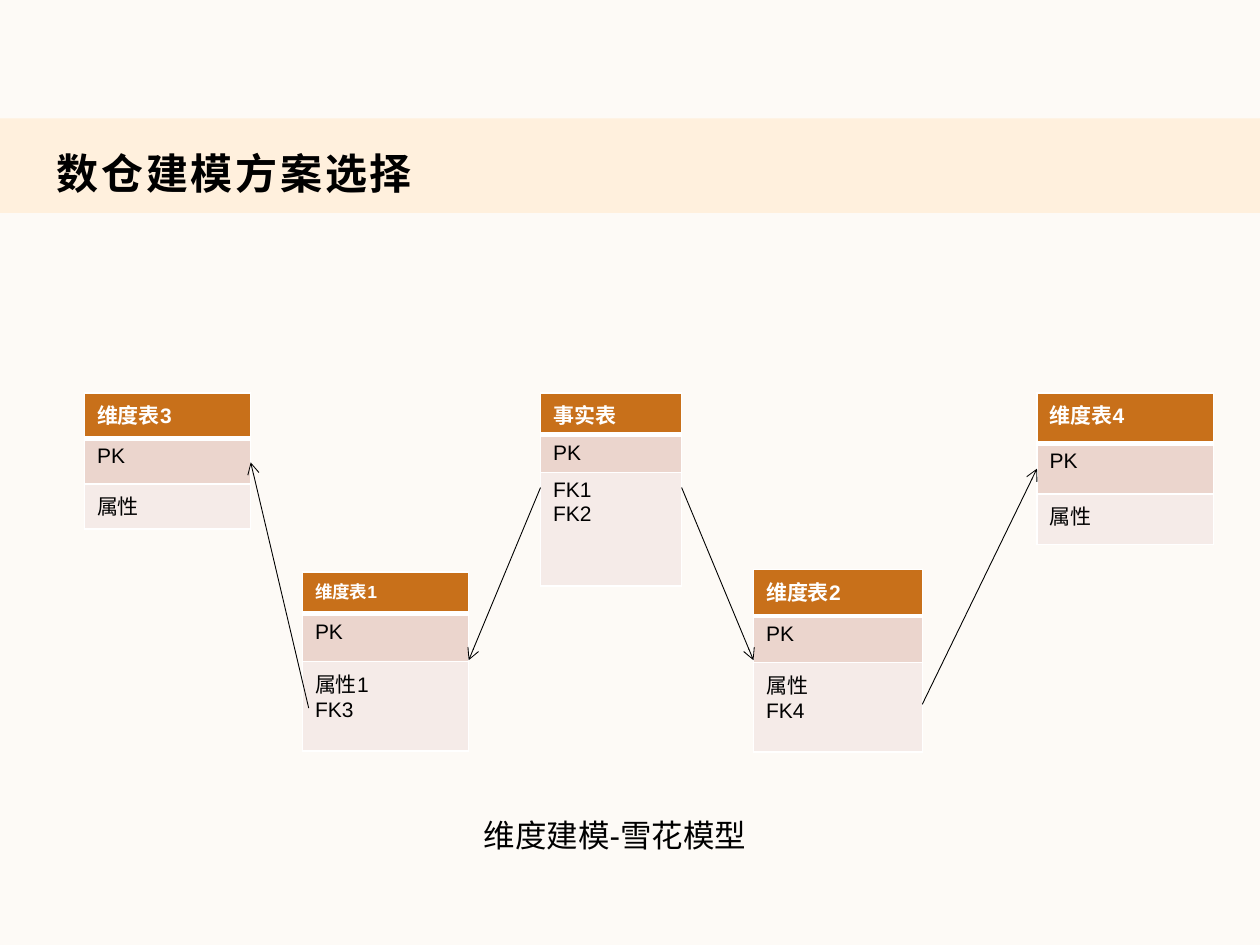
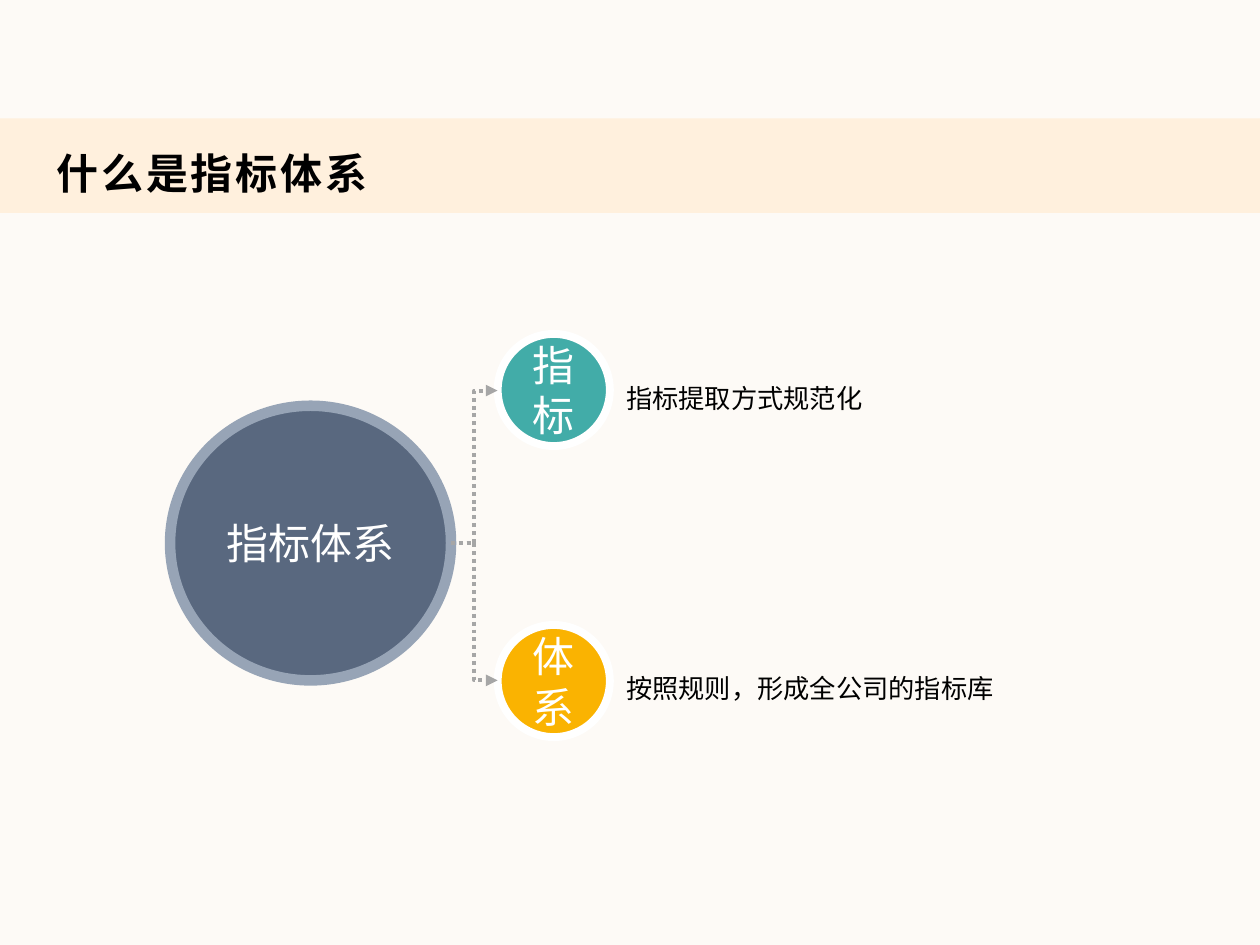
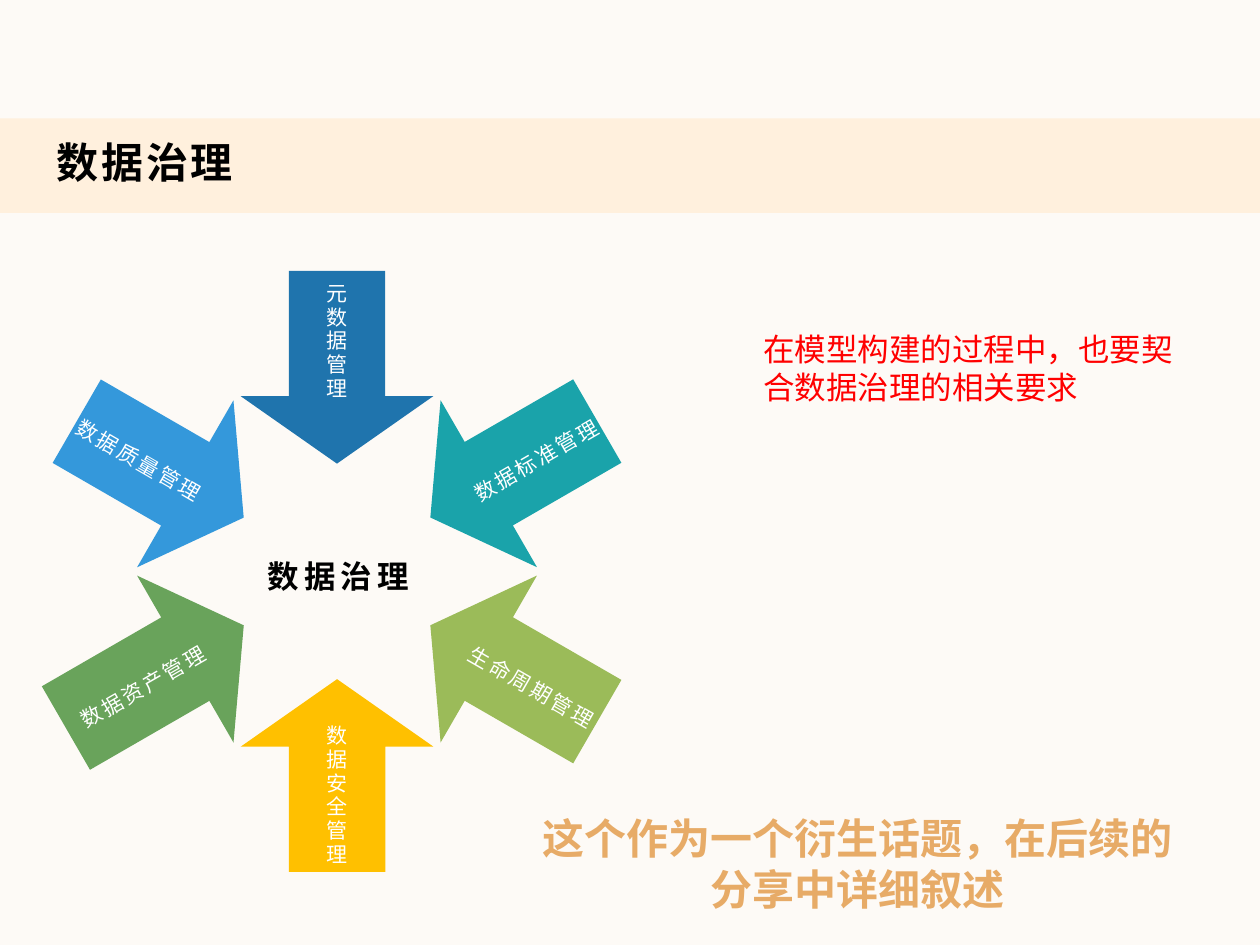
"""Build three slides on warehouse modelling, indicator systems and data governance."""
from dataclasses import dataclass
from math import cos, radians, sin

from lxml import etree
from pptx import Presentation
from pptx.dml.color import RGBColor
from pptx.enum.dml import MSO_LINE
from pptx.enum.shapes import MSO_CONNECTOR, MSO_SHAPE
from pptx.enum.text import MSO_ANCHOR, PP_ALIGN
from pptx.oxml.ns import qn
from pptx.util import Inches, Pt

RECTANGLE, OVAL, DOWN_ARROW = MSO_SHAPE.RECTANGLE, MSO_SHAPE.OVAL, MSO_SHAPE.DOWN_ARROW
STRAIGHT, ELBOW = MSO_CONNECTOR.STRAIGHT, MSO_CONNECTOR.ELBOW
DOTTED = MSO_LINE.ROUND_DOT
TOP, MIDDLE = MSO_ANCHOR.TOP, MSO_ANCHOR.MIDDLE
LEFT, CENTER = PP_ALIGN.LEFT, PP_ALIGN.CENTER


@dataclass(frozen=True)
class Theme:
    font: str = "Arial"
    page: str = "FDFAF6"
    band: str = "FFF0DD"
    ink: str = "000000"
    white: str = "FFFFFF"
    header: str = "C8701A"
    key_row: str = "EBD5CD"
    field_row: str = "F5EBE8"
    hub: str = "59687F"
    hub_rim: str = "97A4B6"
    teal: str = "42ACA8"
    amber: str = "FAB301"
    dots: str = "A6A6A6"
    alert: str = "FF0000"
    closing: str = "E7AB67"
    title: float = 24
    heading: float = 18
    detail: float = 15
    body: float = 12
    small: float = 10


theme = Theme()
deck = Presentation()
deck.slide_width, deck.slide_height = Inches(10), Inches(7.5)
CELL = deck.slide_width / 100


def draw(slide, box, kind=None, fill=None, rotation=0):
    """Add a filled shape, or a text box without a kind, at a box in grid cells."""
    place = [round(length * CELL) for length in box]
    if kind is None:
        item = slide.shapes.add_textbox(*place)
    else:
        item = slide.shapes.add_shape(kind, *place)
        item.shadow.inherit = False
        item.fill.solid()
        item.fill.fore_color.rgb = RGBColor.from_string(fill)
        item.line.fill.background()
    item.rotation = rotation
    return item


def write(frame, lines, size, color=theme.ink, bold=False, align=LEFT,
          anchor=MIDDLE, tracking=0, leading=None):
    """Write each line as one paragraph with one run."""
    frame.word_wrap = True
    frame.vertical_anchor = anchor
    for number, line in enumerate(lines):
        paragraph = frame.add_paragraph() if number else frame.paragraphs[0]
        paragraph.alignment = align
        paragraph.line_spacing = leading
        run = paragraph.add_run()
        run.text = line
        run.font.name, run.font.size, run.font.bold = theme.font, Pt(size), bold
        run.font.color.rgb = RGBColor.from_string(color)
        if tracking:
            run.font._element.set("spc", str(round(tracking * 100)))


background = deck.slide_master.background.fill
background.solid()
background.fore_color.rgb = RGBColor.from_string(theme.page)

pages = []
for heading, heading_top in [("数仓建模方案选择", 11.5), ("什么是指标体系", 11.5),
                             ("数据治理", 10.6)]:
    page = deck.slides.add_slide(deck.slide_layouts[6])
    draw(page, (0, 9.4, 100, 7.5), RECTANGLE, theme.band)
    frame = draw(page, (3.8, heading_top, 92.5, 5)).text_frame
    frame.margin_left = frame.margin_right = Inches(0.07)
    frame.margin_top = frame.margin_bottom = Inches(0.04)
    write(frame, [heading], theme.title, bold=True, tracking=1.6, leading=0.9)
    pages.append(page)
modelling, indicators, governance = pages

entities = [
    ("事实表", ["FK1", "FK2"], 42.9, 31.2, 11.2, (3.3, 3, 9), theme.body),
    ("维度表1", ["属性1", "FK3"], 24, 45.4, 13.2, (3.3, 3.8, 7.1), theme.small),
    ("维度表2", ["属性", "FK4"], 59.8, 45.2, 13.4, (3.7, 3.7, 7.1), theme.body),
    ("维度表3", ["属性"], 6.7, 31.2, 13.2, (3.6, 3.6, 3.6), theme.body),
    ("维度表4", ["属性"], 82.3, 31.2, 14, (4, 4, 4), theme.body),
]
row_fills = [theme.header, theme.key_row, theme.field_row]
for name, fields, left, top, width, heights, name_size in entities:
    place = [round(length * CELL) for length in (left, top, width, sum(heights))]
    entity = modelling.shapes.add_table(3, 1, *place).table
    entity.horz_banding = False
    for number, lines in enumerate([[name], ["PK"], fields]):
        entity.rows[number].height = round(heights[number] * CELL)
        cell = entity.cell(number, 0)
        is_header = number == 0
        properties = cell._tc.get_or_add_tcPr()
        for side in ("lnL", "lnR", "lnT", "lnB"):
            thick = (number, side) in [(0, "lnB"), (1, "lnT")]
            border = etree.SubElement(properties, qn(f"a:{side}"), w=str(Pt(3 if thick else 1)))
            paint = etree.SubElement(border, qn("a:solidFill"))
            etree.SubElement(paint, qn("a:srgbClr"), val=theme.white)
        cell.fill.solid()
        cell.fill.fore_color.rgb = RGBColor.from_string(row_fills[number])
        write(cell.text_frame, lines, name_size if is_header else theme.body,
              theme.white if is_header else theme.ink, bold=is_header, anchor=TOP)
write(draw(modelling, (37.4, 64.3, 38.5, 4)).text_frame, ["维度建模-雪花模型"],
      theme.heading, anchor=TOP)

circles = [
    ("指标", (39.5, 26.5, 8.9, 8.9), theme.teal, theme.white, 4.5),
    ("指标体系", (13.5, 32.2, 22.3, 21.8), theme.hub, theme.hub_rim, 6),
    ("体系", (39.5, 49.6, 8.9, 8.9), theme.amber, theme.white, 4.5),
]
for term, box, fill, rim, rim_width in circles:
    circle = draw(indicators, box, OVAL, fill)
    circle.line.color.rgb = RGBColor.from_string(rim)
    circle.line.width = Pt(rim_width)
    write(circle.text_frame, [term], theme.title, theme.white, align=CENTER)
for meaning, top in [("指标提取方式规范化", 27.2), ("按照规则，形成全公司的指标库", 50.2)]:
    frame = draw(indicators, (49.7, top, 38.7, 7.6)).text_frame
    frame.margin_left = frame.margin_right = 0
    write(frame, [meaning], theme.detail, leading=1.5)

links = [
    (modelling, (42.9, 38.7, 37.2, 52.4)),
    (modelling, (54.1, 38.7, 59.8, 52.4)),
    (modelling, (24.5, 56.2, 19.9, 36.7)),
    (modelling, (73.2, 55.9, 82.3, 37.2)),
    (indicators, (35.8, 43.1, 39.5, 31)),
    (indicators, (35.8, 43.1, 39.5, 54)),
]
for page, ends in links:
    kind, color, weight, dash, head = (
        (STRAIGHT, theme.ink, 0.5, None, "arrow") if page is modelling
        else (ELBOW, theme.dots, 2.25, DOTTED, "triangle"))
    link = page.shapes.add_connector(kind, *[round(end * CELL) for end in ends])
    link.line.color.rgb = RGBColor.from_string(color)
    link.line.width = Pt(weight)
    link.line.dash_style = dash
    etree.SubElement(link.line._get_or_add_ln(), qn("a:tailEnd"), type=head)
    etree.SubElement(link._element.spPr, qn("a:effectLst"))

HUB_X, HUB_Y, ORBIT, SPAN = 26.75, 45.35, 16.2, 15.3
practices = [
    ("元数据管理", "1F74AD", SPAN, (23, 21.5, 7.7, 12.6), None),
    ("数据标准管理", "1AA3AA", SPAN, (35.6, 32.5, 13.7, 7.7), 330),
    ("生命周期管理", "9BBB59", SPAN, (35.6, 50.5, 13.3, 7.7), 30),
    ("数据安全管理", "FFC000", SPAN, (23, 56.6, 7.7, 13.3), None),
    ("数据资产管理", "69A35B", SPAN + 1, (4.5, 50.5, 13.5, 7.7), 330),
    ("数据质量管理", "3498DB", SPAN, (4.2, 32.5, 13.8, 7.7), 30),
]
for number, (practice, fill, length, label_box, tilt) in enumerate(practices):
    angle = number * 360 / len(practices)
    reach = ORBIT + (length - SPAN) / 2
    center_x = HUB_X + reach * sin(radians(angle))
    center_y = HUB_Y - reach * cos(radians(angle))
    arrow = draw(governance, (center_x - SPAN / 2, center_y - length / 2, SPAN, length),
                 DOWN_ARROW, fill, angle)
    arrow.adjustments[0], arrow.adjustments[1] = 0.5, 0.35
    label = draw(governance, label_box, rotation=tilt or 0)
    if tilt is None:
        label.text_frame._txBody.bodyPr.set("vert", "eaVert")
    write(label.text_frame, [practice], theme.body, theme.white, align=CENTER,
          tracking=1.5, leading=1.2)

write(draw(governance, (18.7, 36.9, 16.3, 17)).text_frame, ["数据治理"], theme.heading,
      bold=True, align=CENTER, tracking=3, leading=1.2)
write(draw(governance, (59.6, 25.7, 35.2, 7.1)).text_frame,
      ["在模型构建的过程中，也要契合数据治理的相关要求"], theme.heading, theme.alert, anchor=TOP)
write(draw(governance, (41.2, 64, 53.7, 9.1)).text_frame,
      ["这个作为一个衍生话题，在后续的分享中详细叙述"], theme.title, theme.closing,
      bold=True, align=CENTER, anchor=TOP)

deck.save("out.pptx")
